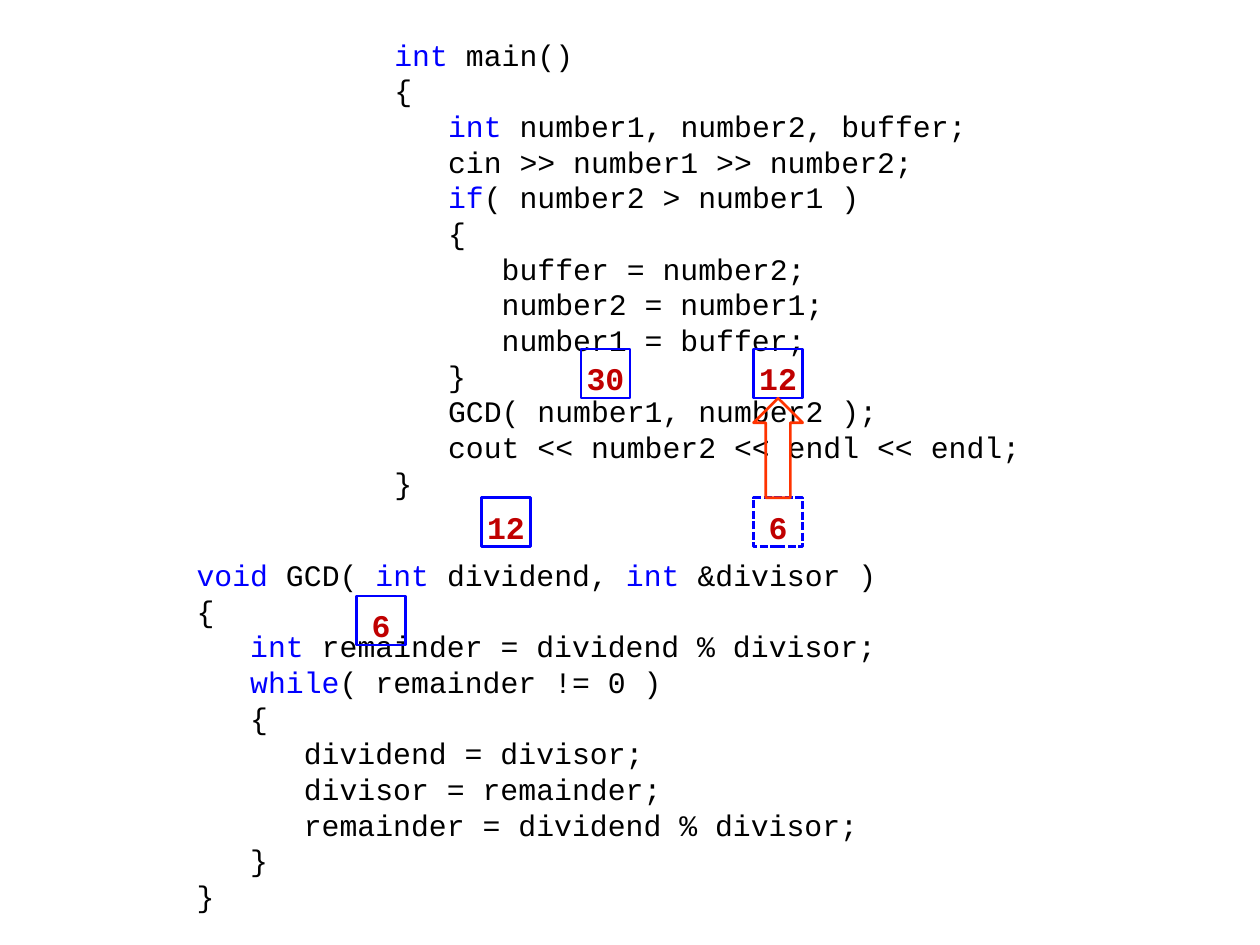
from dataclasses import dataclass
from itertools import groupby

import pptx
import pptx.dml.color
import pptx.enum.dml
import pptx.enum.shapes
import pptx.enum.text
import pptx.oxml.ns
import pptx.util
from lxml import etree

Inches = pptx.util.Inches
Pt = pptx.util.Pt
Shape = pptx.enum.shapes.MSO_SHAPE

FONT = "Courier New"
BLUE, BLACK, RED, ORANGE = "0000FF", "000000", "C00000", "FF3300"
KEYWORDS = {"int", "void", "if", "while"}
CELL = 0.39
ARGUMENT_LEFT, ARGUMENT_TOP, PARAMETER_TOP = 5.98, 2.77, 3.95

MAIN_CODE = """int main()
{
   int number1, number2, buffer;
   cin >> number1 >> number2;
   if( number2 > number1 )
   {
      buffer = number2;
      number2 = number1;
      number1 = buffer;
   }
   GCD( number1, number2 );
   cout << number2 << endl << endl;
}"""

GCD_CODE = """void GCD( int dividend, int &divisor )
{
   int remainder = dividend % divisor;
   while( remainder != 0 )
   {
      dividend = divisor;
      divisor = remainder;
      remainder = dividend % divisor;
   }
}"""


@dataclass
class Listing:
    code: str
    left: float
    top: float
    width: float
    height: float


@dataclass
class Variable:
    value: str
    left: float
    top: float
    is_reference: bool = False


LISTINGS = [
    Listing(MAIN_CODE, 3.03, 0.21, 5.51, 3.74),
    Listing(GCD_CODE, 1.46, 4.34, 5.91, 2.95),
]
VARIABLES = [
    Variable("12", ARGUMENT_LEFT, ARGUMENT_TOP),
    Variable("6", ARGUMENT_LEFT, PARAMETER_TOP, is_reference=True),
    Variable("30", 4.61, ARGUMENT_TOP),
    Variable("12", 3.82, PARAMETER_TOP),
    Variable("6", 2.83, 4.73),
]


def rgb(color: str) -> pptx.dml.color.RGBColor:
    return pptx.dml.color.RGBColor.from_string(color)


def style_font(font, size: float, color: str, bold: bool = False) -> None:
    font.name = FONT
    font.size = Pt(size)
    font.bold = bold
    font.color.rgb = rgb(color)


def remove_bullet(para) -> None:
    properties = para._p.get_or_add_pPr()
    properties.set("marL", "0")
    properties.set("indent", "0")
    etree.SubElement(properties, pptx.oxml.ns.qn("a:buNone"))


def add_code_line(para, line: str) -> None:
    """Write one line of code, with keywords in blue."""
    words = ["".join(letters) for _, letters in groupby(line, str.isalpha)]
    for is_keyword, group in groupby(words, lambda word: word in KEYWORDS):
        span = para.add_run()
        span.text = "".join(group)
        style_font(span.font, 17, BLUE if is_keyword else BLACK)


def fill_listing(box, listing: Listing) -> None:
    box.left, box.top = Inches(listing.left), Inches(listing.top)
    box.width, box.height = Inches(listing.width), Inches(listing.height)
    frame = box.text_frame
    frame.word_wrap = True
    frame.auto_size = pptx.enum.text.MSO_AUTO_SIZE.NONE
    frame.vertical_anchor = pptx.enum.text.MSO_ANCHOR.TOP
    frame.margin_top = Inches(0.08)
    for number, line in enumerate(listing.code.splitlines()):
        para = frame.add_paragraph() if number else frame.paragraphs[0]
        remove_bullet(para)
        para.space_before = Pt(0)
        para.line_spacing = Pt(20.4)
        add_code_line(para, line)


def add_outline(page, kind, left: float, top: float, height: float, color: str):
    """Add an unfilled shape as wide as a variable cell."""
    shape = page.shapes.add_shape(
        kind, Inches(left), Inches(top), Inches(CELL), Inches(height))
    shape.shadow.inherit = False
    shape.fill.background()
    shape.line.color.rgb = rgb(color)
    shape.line.width = Pt(1.5)
    return shape


def add_variable(page, variable: Variable) -> None:
    cell = add_outline(
        page, Shape.RECTANGLE, variable.left, variable.top, CELL, BLUE)
    if variable.is_reference:
        cell.line.dash_style = pptx.enum.dml.MSO_LINE.SQUARE_DOT
    frame = cell.text_frame
    frame.word_wrap = False
    frame.vertical_anchor = pptx.enum.text.MSO_ANCHOR.TOP
    frame.margin_left = frame.margin_right = frame.margin_bottom = Inches(0.04)
    frame.margin_top = Inches(0.08)
    frame.text = variable.value
    para = frame.paragraphs[0]
    para.alignment = pptx.enum.text.PP_ALIGN.CENTER
    style_font(para.runs[0].font, 18, RED, bold=True)


def main() -> None:
    deck = pptx.Presentation()
    deck.slide_width, deck.slide_height = Inches(10), Inches(7.5)
    page = deck.slides.add_slide(deck.slide_layouts.get_by_name("Two Content"))
    title, *bodies = page.placeholders
    title.element.getparent().remove(title.element)
    for box, listing in zip(bodies, LISTINGS):
        fill_listing(box, listing)
    for variable in VARIABLES:
        add_variable(page, variable)
    arrow_top = ARGUMENT_TOP + CELL
    add_outline(page, Shape.UP_ARROW, ARGUMENT_LEFT, arrow_top,
                PARAMETER_TOP - arrow_top, ORANGE)
    deck.save("out.pptx")


if __name__ == "__main__":
    main()
